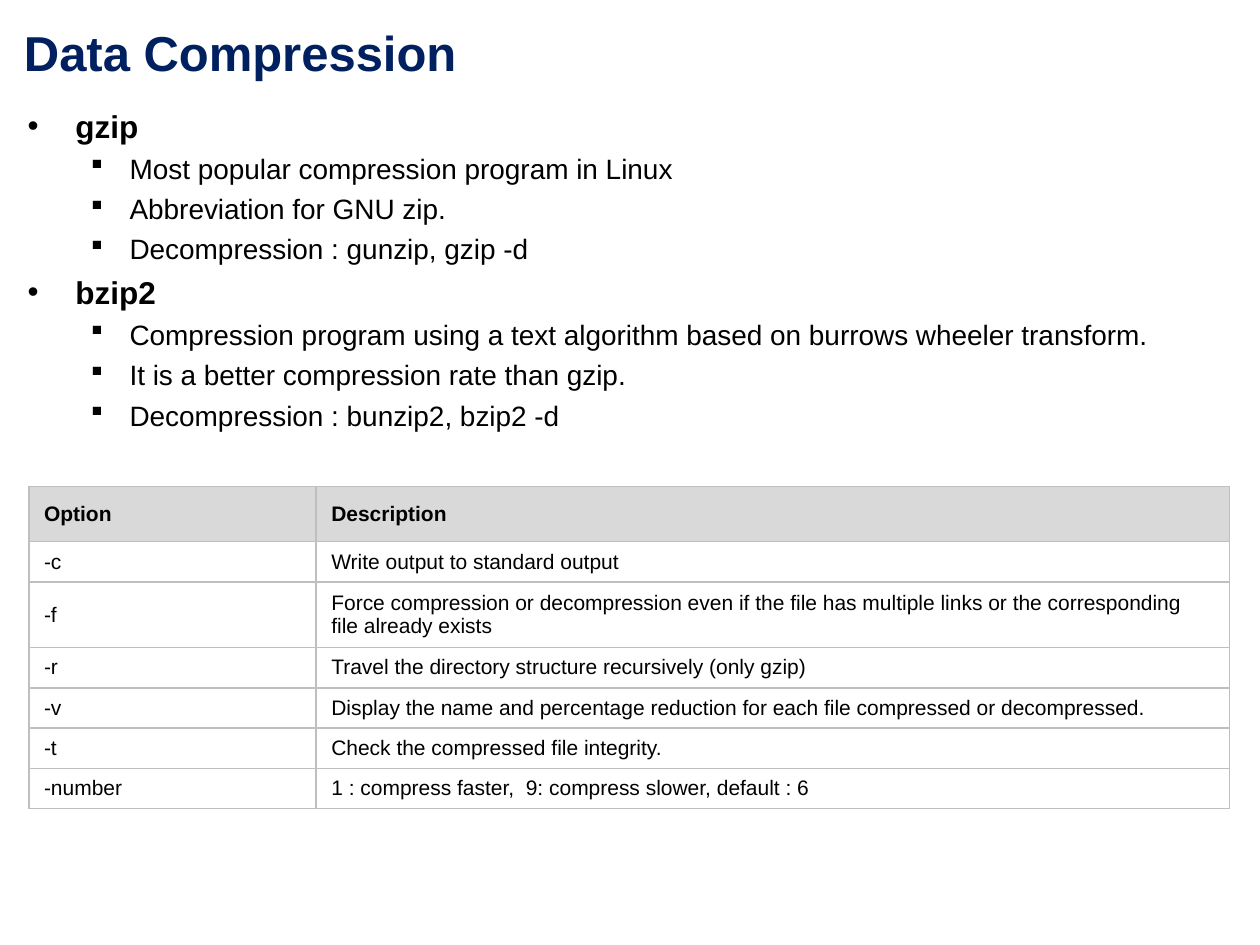
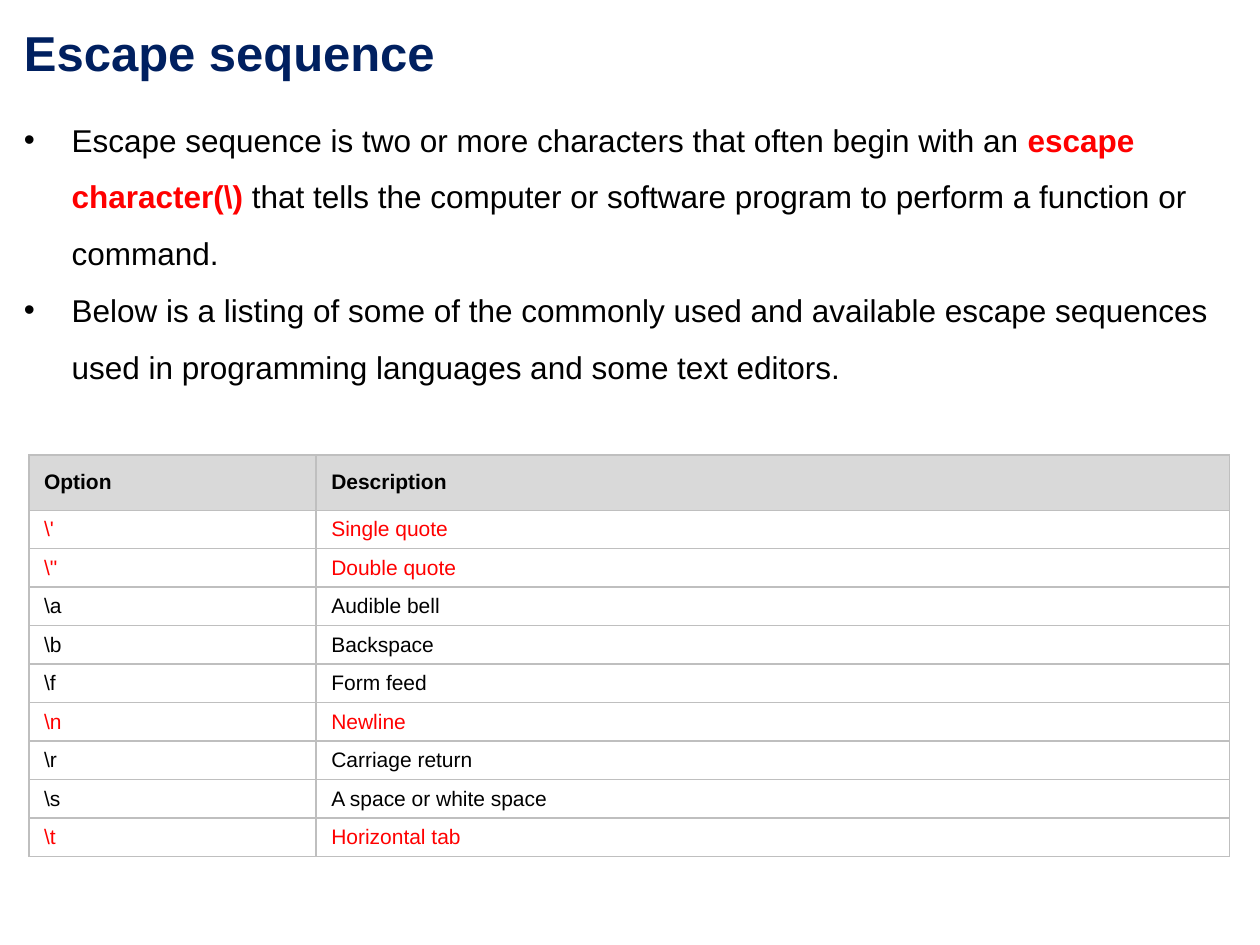
"""Build two slides on data compression tools and escape sequences."""
from lxml.etree import SubElement
from pptx import Presentation
from pptx.dml.color import RGBColor
from pptx.enum.text import MSO_ANCHOR as Anchor, MSO_AUTO_SIZE as AutoSize, PP_ALIGN as Align
from pptx.oxml.ns import qn
from pptx.util import Emu, Pt

PX = 9144
FONT = "Arial"
COLORS = {
    "title": "002060",
    "text": "000000",
    "accent": "FF0000",
    "header": "D9D9D9",
    "cell": "FFFFFF",
    "border": "BFBFBF",
}
BULLETS = [
    {"margin": 38, "hang": 38, "font": "Arial", "char": "•"},
    {"margin": 81, "hang": 31, "font": "Wingdings", "char": "§"},
]
TABLE_LEFT = 23
COLUMN_WIDTHS = [228, 725]

COMPRESSION_POINTS = [
    (0, [("gzip", "text", True)]),
    (1, [("Most popular compression program in Linux", "text", False)]),
    (1, [("Abbreviation for GNU zip.", "text", False)]),
    (1, [("Decompression : gunzip, gzip -d", "text", False)]),
    (0, [("bzip2", "text", True)]),
    (1, [("Compression program using a text algorithm based on burrows wheeler transform.", "text", False)]),
    (1, [("It is a better compression rate than gzip.", "text", False)]),
    (1, [("Decompression : bunzip2, bzip2 -d", "text", False)]),
]
ESCAPE_POINTS = [
    (0, [
        ("Escape sequence is two or more characters that often begin with an ", "text", False),
        (r"escape character(\) ", "accent", True),
        ("that tells the computer or software program to perform a function or command.", "text", False),
    ]),
    (0, [("Below is a listing of some of the commonly used and available escape sequences "
          "used in programming languages and some text editors.", "text", False)]),
]
COMPRESSION_OPTIONS = [
    ("-c", "Write output to standard output"),
    ("-f", "Force compression or decompression even if the file has multiple links "
           "or the corresponding file already exists"),
    ("-r", "Travel the directory structure recursively (only gzip)"),
    ("-v", "Display the name and percentage reduction for each file compressed or decompressed."),
    ("-t", "Check the compressed file integrity."),
    ("-number", "1 : compress faster,  9: compress slower, default : 6"),
]
ESCAPE_OPTIONS = [
    (r"\'", "Single quote"),
    (r"\"", "Double quote"),
    (r"\a", "Audible bell"),
    (r"\b", "Backspace"),
    (r"\f", "Form feed"),
    (r"\n", "Newline"),
    (r"\r", "Carriage return"),
    (r"\s", "A space or white space"),
    (r"\t", "Horizontal tab"),
]
HIGHLIGHTED = {r"\'", r"\"", r"\n", r"\t"}


def px(length):
    return Emu(round(length * PX))


class SlideBuilder:
    def __init__(self):
        self.deck = Presentation()
        self.deck.slide_width, self.deck.slide_height = px(1000), px(750)
        self.page = None

    def style(self, span, size, color="text", bold=False):
        font = span.font
        font.name, font.size, font.bold = FONT, Pt(size), bold
        font.color.rgb = RGBColor.from_string(COLORS[color])

    def titled_page(self, title):
        self.page = self.deck.slides.add_slide(self.deck.slide_layouts[5])
        box = self.page.shapes.title
        box.left, box.top, box.width, box.height = px(9), px(13), px(792), px(57)
        frame = box.text_frame
        frame.text = title
        frame.vertical_anchor = Anchor.TOP
        frame.auto_size = AutoSize.NONE
        para = frame.paragraphs[0]
        para.alignment = Align.LEFT
        self.style(para.runs[0], 28, "title", True)

    def bullet(self, para, level):
        bullet = BULLETS[level]
        para.level = level
        properties = para._p.get_or_add_pPr()
        properties.set("marL", str(px(bullet["margin"])))
        properties.set("indent", str(-px(bullet["hang"])))
        SubElement(properties, qn("a:buFont"), typeface=bullet["font"])
        SubElement(properties, qn("a:buChar"), char=bullet["char"])

    def bullet_list(self, left, top, width, height, points, spacing):
        box = self.page.shapes.add_textbox(px(left), px(top), px(width), px(height))
        frame = box.text_frame
        frame.word_wrap = True
        frame.auto_size = AutoSize.SHAPE_TO_FIT_TEXT
        for index, (level, spans) in enumerate(points):
            para = frame.add_paragraph() if index else frame.paragraphs[0]
            para.line_spacing = spacing
            self.bullet(para, level)
            for text, color, bold in spans:
                span = para.add_run()
                span.text = text
                self.style(span, 16 if level else 18, color, bold)

    def border(self, cell):
        properties = cell._tc.get_or_add_tcPr()
        for side in ("lnL", "lnR", "lnT", "lnB"):
            line = SubElement(properties, qn(f"a:{side}"), w=str(Pt(1)))
            fill = SubElement(line, qn("a:solidFill"))
            SubElement(fill, qn("a:srgbClr"), val=COLORS["border"])

    def cell(self, cell, text, header, color):
        self.border(cell)
        cell.fill.solid()
        cell.fill.fore_color.rgb = RGBColor.from_string(COLORS["header" if header else "cell"])
        cell.margin_left = cell.margin_right = px(12)
        cell.margin_top = cell.margin_bottom = px(12 if header else 5)
        cell.vertical_anchor = Anchor.MIDDLE
        cell.text = text
        self.style(cell.text_frame.paragraphs[0].runs[0], 12, color, header)

    def option_table(self, top, options, heights):
        rows = [("Option", "Description"), *options]
        frame = self.page.shapes.add_table(
            len(rows), len(COLUMN_WIDTHS), px(TABLE_LEFT), px(top),
            px(sum(COLUMN_WIDTHS)), px(sum(heights)))
        table = frame.table
        table.horz_banding = False
        for column, width in zip(table.columns, COLUMN_WIDTHS):
            column.width = px(width)
        for index, (texts, height) in enumerate(zip(rows, heights)):
            table.rows[index].height = px(height)
            color = "accent" if texts[0] in HIGHLIGHTED else "text"
            for column, text in enumerate(texts):
                self.cell(table.cell(index, column), text, index == 0, color)


def main():
    builder = SlideBuilder()

    builder.titled_page("Data Compression")
    builder.bullet_list(12, 74, 975, 277, COMPRESSION_POINTS, 1.2)
    builder.option_table(386, COMPRESSION_OPTIONS, [44, 32, 52] + [32] * 4)

    builder.titled_page("Escape sequence")
    builder.bullet_list(9, 76, 975, 237, ESCAPE_POINTS, 1.5)
    row_height = 275 / len(ESCAPE_OPTIONS)
    builder.option_table(361, ESCAPE_OPTIONS, [43] + [row_height] * len(ESCAPE_OPTIONS))

    builder.deck.save("out.pptx")


if __name__ == "__main__":
    main()
